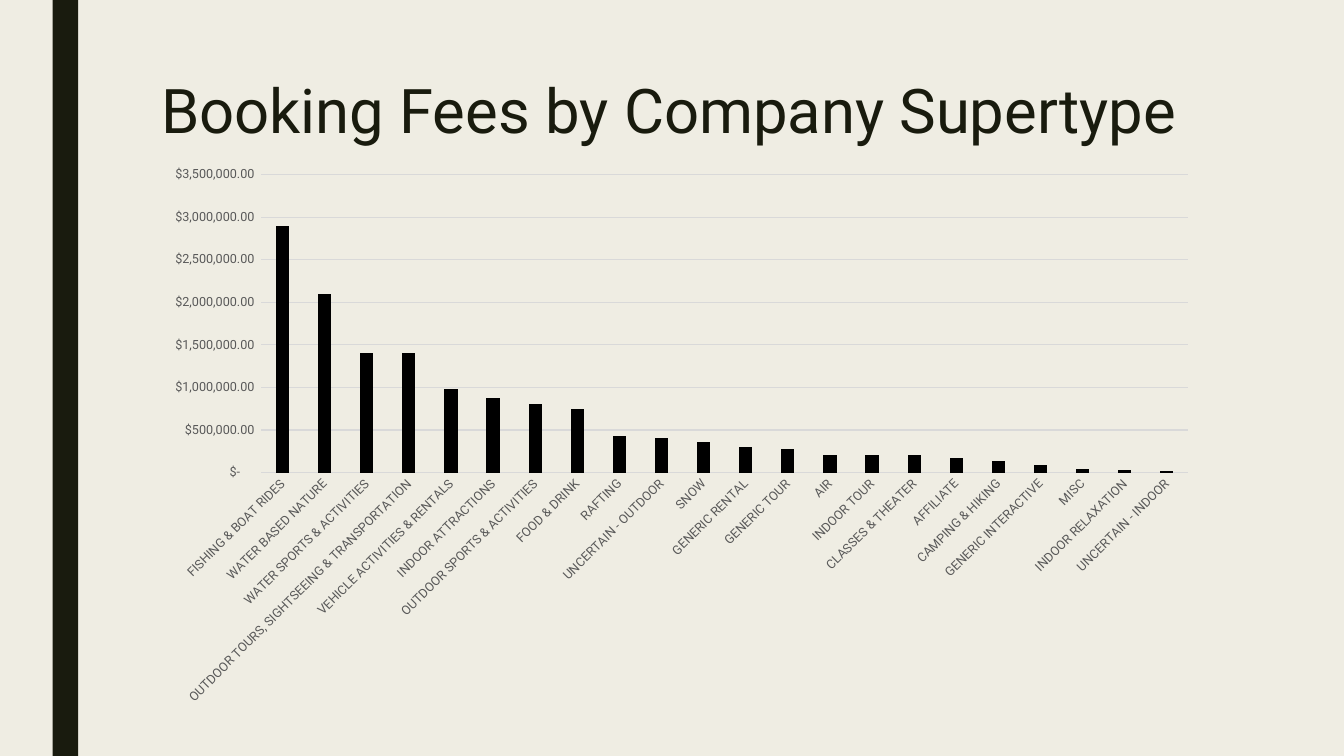
import pptx
import pptx.chart.data
import pptx.dml.color
import pptx.enum.chart
import pptx.enum.shapes
import pptx.enum.text
import pptx.oxml
import pptx.oxml.ns
import pptx.util

Cm = pptx.util.Cm
Pt = pptx.util.Pt

COLORS = {
    "background": "EFEDE3",
    "stripe": "191B0E",
    "title": "191B0E",
    "bars": "000000",
    "labels": "595959",
    "lines": "D9D9D9",
}
FONT = "Roboto"
FEE_FORMAT = r'_("$"* #,##0.00_);_("$"* \(#,##0.00\);_("$"* "-"??_);_(@_)'

BOOKING_FEES = {
    "FISHING & BOAT RIDES": 2900000,
    "WATER BASED NATURE": 2100000,
    "WATER SPORTS & ACTIVITIES": 1400000,
    "OUTDOOR TOURS, SIGHTSEEING & TRANSPORTATION": 1400000,
    "VEHICLE ACTIVITIES & RENTALS": 980000,
    "INDOOR ATTRACTIONS": 880000,
    "OUTDOOR SPORTS & ACTIVITIES": 800000,
    "FOOD & DRINK": 750000,
    "RAFTING": 430000,
    "UNCERTAIN - OUTDOOR": 400000,
    "SNOW": 360000,
    "GENERIC RENTAL": 300000,
    "GENERIC TOUR": 280000,
    "AIR": 210000,
    "INDOOR TOUR": 210000,
    "CLASSES & THEATER": 200000,
    "AFFILIATE": 170000,
    "CAMPING & HIKING": 130000,
    "GENERIC INTERACTIVE": 90000,
    "MISC": 40000,
    "INDOOR RELAXATION": 30000,
    "UNCERTAIN - INDOOR": 20000,
}


def apply(target, formats):
    for attribute, value in formats.items():
        setattr(target, attribute, value)


def color(name):
    return pptx.dml.color.RGBColor.from_string(COLORS[name])


def paint(fill, name):
    fill.solid()
    fill.fore_color.rgb = color(name)


def style_font(font, size, name):
    apply(font, {"name": FONT, "size": Pt(size), "bold": False})
    font.color.rgb = color(name)


def style_line(line, name):
    line.color.rgb = color(name)
    line.width = Pt(0.75)


def add_stripe(slide, left, top, width, height):
    stripe = slide.shapes.add_shape(
        pptx.enum.shapes.MSO_SHAPE.RECTANGLE, left, top, width, height)
    stripe.shadow.inherit = False
    paint(stripe.fill, "stripe")
    stripe.line.fill.background()


def add_heading(slide, left, top, width, height):
    heading = slide.shapes.add_textbox(left, top, width, height).text_frame
    apply(heading, {
        "word_wrap": True,
        "vertical_anchor": pptx.enum.text.MSO_ANCHOR.TOP,
    })
    line = heading.paragraphs[0]
    line.line_spacing = 0.89
    words = line.add_run()
    words.text = "Booking Fees by Company Supertype"
    style_font(words.font, 44, "title")


def fix_plot_area(chart, x, y, w, h):
    layout = pptx.oxml.parse_xml(
        f'<c:layout {pptx.oxml.ns.nsdecls("c")}><c:manualLayout>'
        '<c:layoutTarget val="inner"/><c:xMode val="edge"/><c:yMode val="edge"/>'
        f'<c:x val="{x}"/><c:y val="{y}"/><c:w val="{w}"/><c:h val="{h}"/>'
        '</c:manualLayout></c:layout>')
    plot_area = chart.plots[0]._element.getparent()
    for automatic in plot_area.findall(pptx.oxml.ns.qn("c:layout")):
        plot_area.remove(automatic)
    plot_area.insert(0, layout)


def add_fee_chart(slide, left, top, width, height):
    fees = pptx.chart.data.CategoryChartData(number_format=FEE_FORMAT)
    fees.categories = list(BOOKING_FEES)
    fees.add_series("Series 1", list(BOOKING_FEES.values()))
    chart = slide.shapes.add_chart(
        pptx.enum.chart.XL_CHART_TYPE.COLUMN_CLUSTERED,
        left, top, width, height, fees).chart
    apply(chart, {"has_legend": False, "has_title": False})
    style_font(chart.font, 10, "bars")

    columns = chart.plots[0]
    apply(columns, {"gap_width": 219, "overlap": -27, "vary_by_categories": False})
    paint(columns.series[0].format.fill, "bars")

    supertypes, dollars = chart.category_axis, chart.value_axis
    for axis in (supertypes, dollars):
        apply(axis, {
            "major_tick_mark": pptx.enum.chart.XL_TICK_MARK.NONE,
            "minor_tick_mark": pptx.enum.chart.XL_TICK_MARK.NONE,
        })
        style_font(axis.tick_labels.font, 9, "labels")
    style_line(supertypes.format.line, "lines")
    slant = supertypes._element.find(".//" + pptx.oxml.ns.qn("a:bodyPr"))
    slant.set("rot", "-2700000")
    slant.set("vert", "horz")

    apply(dollars, {
        "minimum_scale": 0,
        "maximum_scale": 3500000,
        "major_unit": 500000,
        "has_major_gridlines": True,
    })
    apply(dollars.tick_labels, {
        "number_format": FEE_FORMAT,
        "number_format_is_linked": False,
    })
    dollars.format.line.fill.background()
    style_line(dollars.major_gridlines.format.line, "lines")
    fix_plot_area(chart, Cm(2.78) / width, Cm(0.46) / height,
                  Cm(23.35) / width, Cm(7.51) / height)


def main():
    deck = pptx.Presentation()
    apply(deck, {"slide_width": Cm(33.87), "slide_height": Cm(19.05)})
    slide = deck.slides.add_slide(deck.slide_layouts[6])
    paint(slide.background.fill, "background")
    margin = Cm(3.81)
    add_stripe(slide, Cm(1.33), 0, Cm(0.64), deck.slide_height)
    add_heading(slide, margin, Cm(1.91), Cm(29.03), Cm(2.29))
    add_fee_chart(slide, margin, Cm(3.94), Cm(26.67), Cm(14.1))
    deck.save("out.pptx")


if __name__ == "__main__":
    main()
